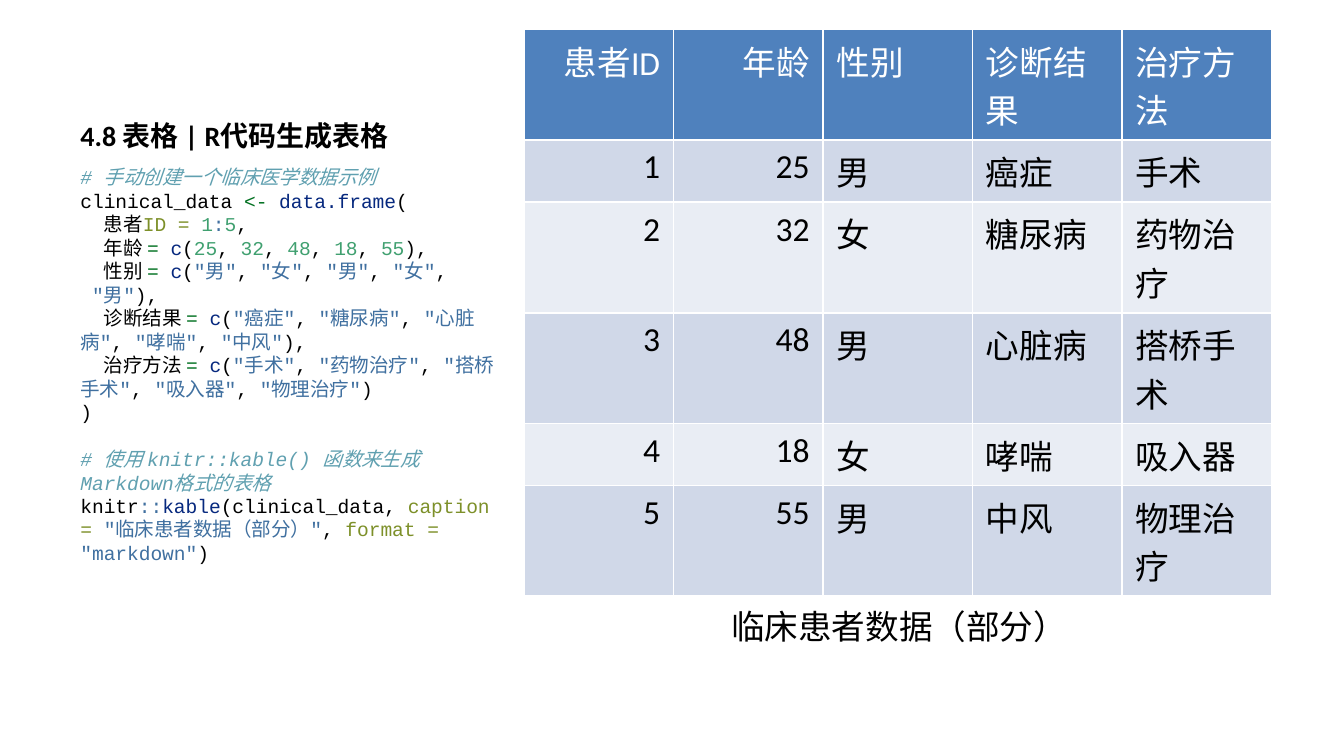
from pptx import Presentation, util as u
from pptx.dml.color import RGBColor
from pptx.enum import text
from pptx.oxml.ns import qn
from lxml import etree

Inches, Pt = u.Inches, u.Pt
COLORS = {
    "plain": "000000", "white": "FFFFFF", "comment": "60A0B0",
    "operator": "007020", "function": "06287E", "argument": "7D9029",
    "number": "40A070", "string": "4070A0",
    "header": "4F81BD", "odd": "D0D8E8", "even": "E9EDF4",
}
PATIENTS = {
    "患者ID": [1, 2, 3, 4, 5],
    "年龄": [25, 32, 48, 18, 55],
    "性别": ["男", "女", "男", "女", "男"],
    "诊断结果": ["癌症", "糖尿病", "心脏病", "哮喘", "中风"],
    "治疗方法": ["手术", "药物治疗", "搭桥手术", "吸入器", "物理治疗"],
}
CAPTION = "临床患者数据（部分）"


def color(name):
    return RGBColor.from_string(COLORS[name])


def style(font, size, name="Calibri", shade="plain", bold=False):
    font.size, font.name, font.bold = Pt(size), name, bold
    font.color.rgb = color(shade)


def add_text_box(page, left, top, width, height):
    box = page.shapes.add_textbox(*map(Inches, (left, top, width, height)))
    box.text_frame.word_wrap = True
    return box.text_frame


def add_title(page, left, top, width, height):
    frame = add_text_box(page, left, top, width, height)
    frame.vertical_anchor = text.MSO_ANCHOR.BOTTOM
    para = frame.paragraphs[0]
    para.text = "4.8 表格 | R代码生成表格"
    style(para.font, 15, bold=True)


def vector_line(name):
    """Tokens of one data.frame column, such as: name = c(1, 2),"""
    line = [(f"  {name} ", "plain"), ("= ", "operator"),
            ("c", "function"), ("(", "plain")]
    for index, value in enumerate(PATIENTS[name]):
        if index:
            line.append((", ", "plain"))
        if isinstance(value, str):
            line.append((f'"{value}"', "string"))
        else:
            line.append((str(value), "number"))
    return line + [(")" if name == list(PATIENTS)[-1] else "),", "plain")]


def code_blocks():
    create = [
        [("# 手动创建一个临床医学数据示例", "comment")],
        [("clinical_data ", "plain"), ("<- ", "operator"),
         ("data.frame", "function"), ("(", "plain")],
        [("  患者", "plain"), ("ID = ", "argument"), ("1", "number"),
         (":", "string"), ("5", "number"), (",", "plain")],
        *[vector_line(name) for name in list(PATIENTS)[1:]],
        [(")", "plain")],
    ]
    show = [
        [("# 使用 knitr::kable() 函数来生成Markdown格式的表格", "comment")],
        [("knitr", "plain"), ("::", "string"), ("kable", "function"),
         ("(clinical_data, ", "plain"), ("caption = ", "argument"),
         (f'"{CAPTION}"', "string"), (", ", "plain"),
         ("format = ", "argument"), ('"markdown"', "string"), (")", "plain")],
    ]
    return create, show


def add_code(page, left, top, width, height):
    frame = add_text_box(page, left, top, width, height)
    for number, block in enumerate(code_blocks()):
        para = frame.add_paragraph() if number else frame.paragraphs[0]
        para.space_before = Pt(12.5 * number)
        para.font.size, para.font.name = Pt(10.5), "Courier New"
        for index, line in enumerate(block):
            if index:
                para.add_line_break()
            for words, kind in line:
                span = para.add_run()
                span.text = words
                style(span.font, 10.5, "Courier New", kind)
                span.font.italic = kind == "comment"


def add_borders(cell):
    properties = cell._tc.get_or_add_tcPr()
    for side in "LRTB":
        line = etree.SubElement(properties, qn(f"a:ln{side}"), w=str(Pt(1)))
        fill = etree.SubElement(line, qn("a:solidFill"))
        etree.SubElement(fill, qn("a:srgbClr"), val=COLORS["white"])


def add_patient_table(page, left, top, width, height):
    rows = [list(PATIENTS), *zip(*PATIENTS.values())]
    frame = page.shapes.add_table(len(rows), len(PATIENTS),
                                  *map(Inches, (left, top, width, height)))
    table = frame.table
    for r, values in enumerate(rows):
        # Four-character words wrap onto a second line
        wraps = any(len(str(value)) > 3 for value in values)
        table.rows[r].height = Pt(59.25 if wraps else 33.3)
        shade = "header" if r == 0 else "odd" if r % 2 else "even"
        for c, value in enumerate(values):
            cell = table.cell(r, c)
            add_borders(cell)
            cell.fill.solid()
            cell.fill.fore_color.rgb = color(shade)
            para = cell.text_frame.paragraphs[0]
            para.text = str(value)
            para.alignment = text.PP_ALIGN.RIGHT if c < 2 else text.PP_ALIGN.LEFT
            style(para.font, 18, shade="plain" if r else "white")


def add_caption(page, left, top, width, height):
    para = add_text_box(page, left, top, width, height).paragraphs[0]
    para.text = CAPTION
    para.alignment = text.PP_ALIGN.CENTER
    style(para.font, 18)


def main():
    deck = Presentation()
    # Widescreen, 16:9
    deck.slide_width, deck.slide_height = Inches(10), Inches(10 * 9 / 16)
    page = deck.slides.add_slide(deck.slide_layouts[6])
    # Left: title and code
    add_title(page, 0.5, 0.22, 3.29, 0.96)
    add_code(page, 0.5, 1.18, 3.29, 3.85)
    # Right: table and caption
    add_patient_table(page, 3.9, 0.22, 5.56, 4.22)
    add_caption(page, 3.9, 4.46, 5.58, 0.56)
    deck.save("out.pptx")


if __name__ == "__main__":
    main()
